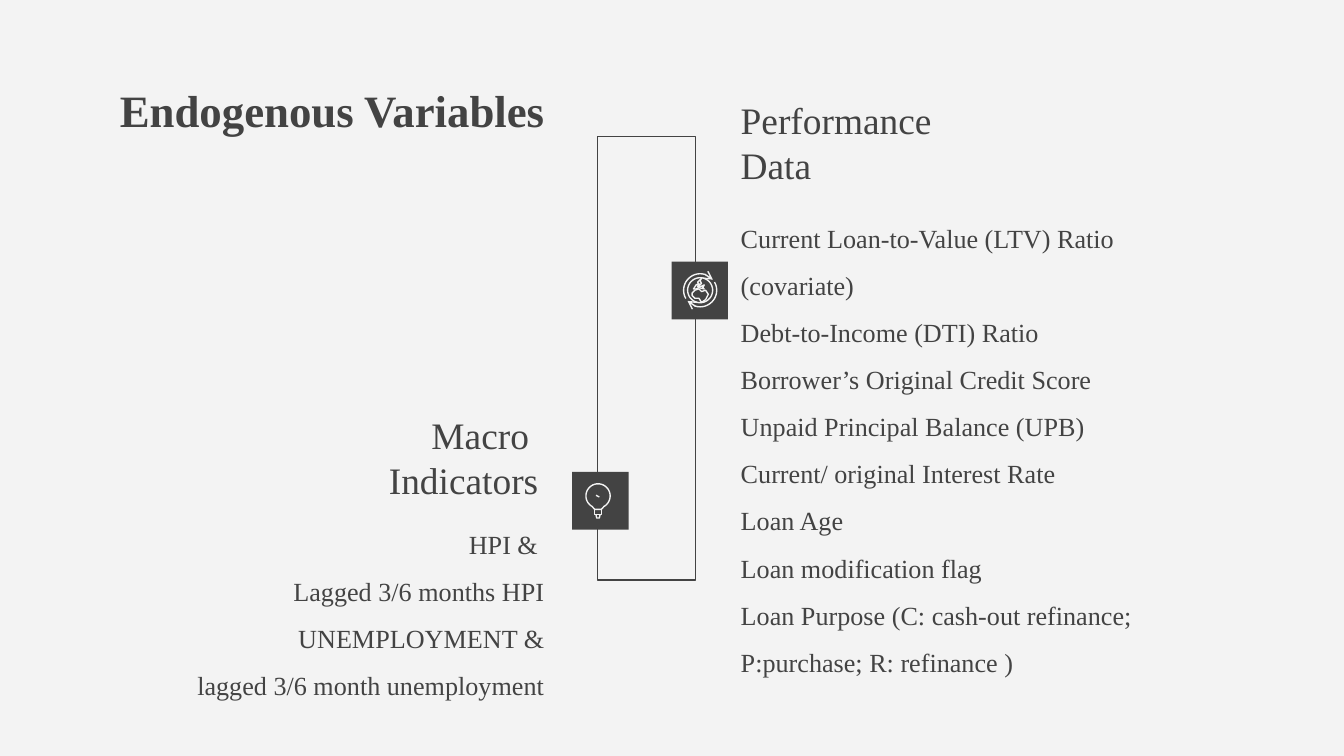
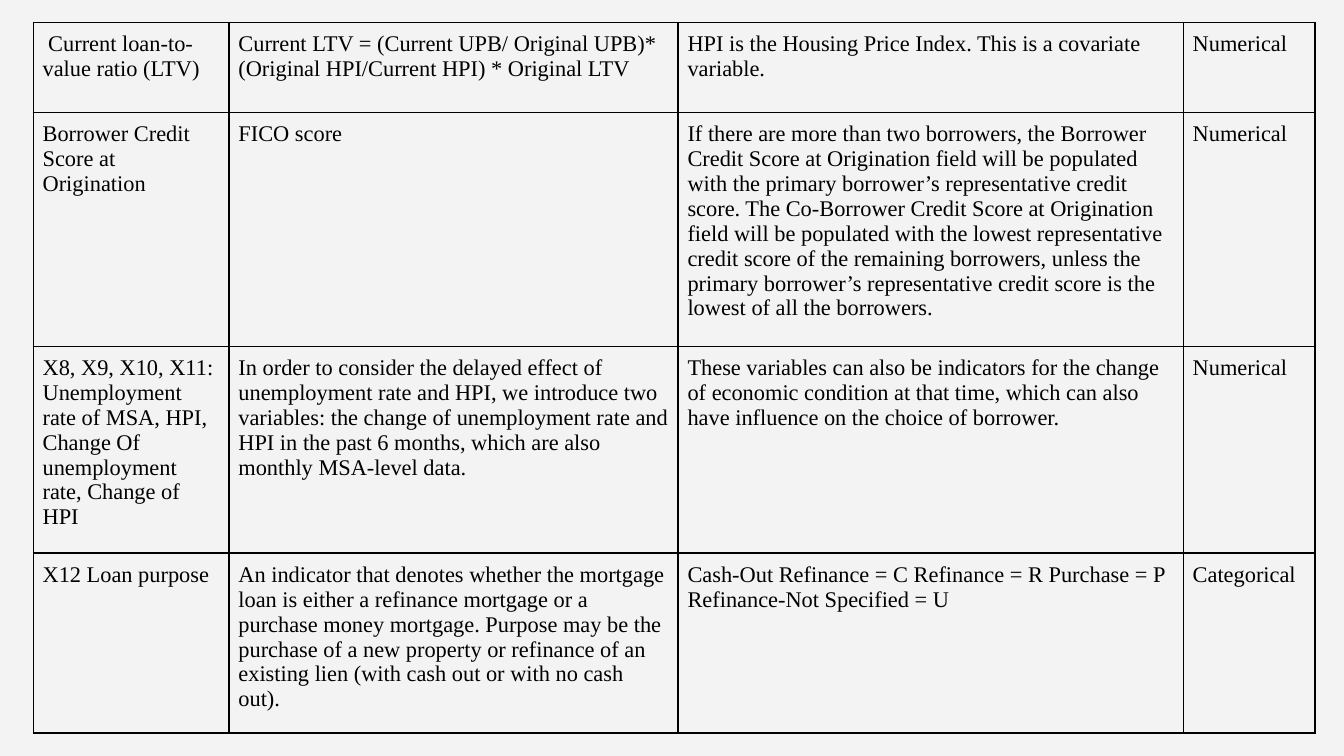
from dataclasses import dataclass
from math import cos, radians, sin

from lxml.etree import SubElement
from pptx import Presentation
from pptx.dml.color import RGBColor
from pptx.enum.shapes import MSO_SHAPE
from pptx.enum.text import MSO_ANCHOR, PP_ALIGN
from pptx.oxml.ns import qn
from pptx.shapes.autoshape import Shape
from pptx.slide import Slide
from pptx.util import Emu, Inches, Pt

FONT = "Times New Roman"
PAPER, INK, BLACK = "F3F3F3", "434343", "000000"
COLUMNS, ROWS = 100, 56.25  # grid of square cells covering the slide
CELL = Inches(0.1)

Point = tuple[float, float]


@dataclass(frozen=True)
class Box:
    col: float
    row: float
    cols: float
    rows: float

    def emu(self) -> tuple[Emu, Emu, Emu, Emu]:
        return grid(self.col), grid(self.row), grid(self.cols), grid(self.rows)


@dataclass(frozen=True)
class TextBlock:
    box: Box
    lines: tuple[str, ...]
    size: float
    bold: bool = False
    align: PP_ALIGN = PP_ALIGN.LEFT
    anchor: MSO_ANCHOR = MSO_ANCHOR.TOP
    spacing: float = 1.0


@dataclass(frozen=True)
class Stroke:
    points: tuple[Point, ...]
    closed: bool = False
    arrow: bool = False


def grid(cells: float) -> Emu:
    return Emu(round(cells * CELL))


def rgb(color: str) -> RGBColor:
    return RGBColor.from_string(color)


def arc(center: Point, radius: float, start: int, end: int) -> tuple[Point, ...]:
    """Points along a clockwise arc, with angles in degrees from the right."""
    return tuple(
        (center[0] + radius * cos(radians(a)), center[1] + radius * sin(radians(a)))
        for a in range(start, end + 1, 5)
    )


TITLE = TextBlock(Box(7.93, 5.14, 38.2, 10.3), ("Endogenous Variables",), 24, bold=True)
PERFORMANCE = TextBlock(
    Box(54.13, 5.7, 20.6, 9.2), ("Performance", "Data"), 20, anchor=MSO_ANCHOR.BOTTOM
)
PERFORMANCE_LIST = TextBlock(
    Box(54.13, 14.4, 33.9, 18.7),
    (
        "Current Loan-to-Value (LTV) Ratio (covariate)",
        "Debt-to-Income (DTI) Ratio",
        "Borrower’s Original Credit Score",
        "Unpaid Principal Balance (UPB)",
        "Current/ original Interest Rate",
        "Loan Age",
        "Loan modification flag",
        "Loan Purpose (C: cash-out refinance; P:purchase; R: refinance )",
    ),
    14,
    spacing=1.5,
)
MACRO = TextBlock(
    Box(20.45, 34.07, 20.6, 4.3), ("Macro ", "Indicators"), 20,
    align=PP_ALIGN.RIGHT, anchor=MSO_ANCHOR.BOTTOM,
)
MACRO_LIST = TextBlock(
    Box(9.8, 37.15, 31.7, 13.8),
    (
        "HPI & ",
        "Lagged 3/6 months HPI",
        "UNEMPLOYMENT &",
        " lagged 3/6 month unemployment",
    ),
    14,
    align=PP_ALIGN.RIGHT,
    spacing=1.5,
)

FRAME = Box(44.45, 10.17, 7.3, 33)
GLOBE_TILE = Box(49.97, 19.47, 4.2, 4.3)
BULB_TILE = Box(42.57, 35.12, 4.2, 4.3)

BULB = (
    Stroke(arc((44.5, 36.9), 0.9, 120, 420) + ((44.75, 37.9), (44.25, 37.9)), closed=True),
    Stroke(((44.25, 37.9), (44.25, 38.3), (44.75, 38.3), (44.75, 37.9))),
    Stroke(((44.35, 38.3), (44.4, 38.55), (44.6, 38.55), (44.65, 38.3))),
    Stroke(((44.35, 36.85), (44.6, 36.98))),
)
GLOBE_CENTER = (52.1, 21.6)
GLOBE = (
    Stroke(arc(GLOBE_CENTER, 0.93, 0, 355), closed=True),
    Stroke(arc(GLOBE_CENTER, 1.23, 150, 320), arrow=True),
    Stroke(arc(GLOBE_CENTER, 1.23, 330, 500), arrow=True),
    Stroke(
        (
            (52.2, 20.7), (51.9, 21), (52, 21.1), (51.8, 21.2), (51.6, 21.5),
            (51.8, 21.5), (52, 21.4), (52.4, 21.5), (52.3, 21.4), (52.4, 21.2),
            (52.2, 21.3), (51.9, 21.3), (52.2, 21.1), (52.1, 20.9),
        ),
        closed=True,
    ),
    Stroke(
        (
            (51.7, 21.6), (51.5, 21.8), (51.5, 22), (51.7, 22.2), (52, 22.2),
            (52.2, 22.5), (52.5, 22.3), (52.7, 21.9), (52.5, 21.6), (52.2, 21.7),
            (52, 21.5),
        ),
        closed=True,
    ),
)

TABLE_BOX = Box(2.48, 1.68, 95.36, 43.1)
TABLE_COLS = (14.57, 33.42, 37.59, 9.78)
TABLE_ROWS = (6.7, 12.8, 10.8, 12.8)
CELL_MARGIN = Pt(5)
VARIABLES = (
    (
        " Current loan-to-value ratio (LTV)",
        "Current LTV = (Current UPB/ Original UPB)* (Original HPI/Current HPI) * Original LTV",
        "HPI is the Housing Price Index. This is a covariate variable.",
        "Numerical",
    ),
    (
        "Borrower Credit Score at Origination",
        "FICO score",
        "If there are more than two borrowers, the Borrower Credit Score at Origination "
        "field will be populated with the primary borrower’s representative credit score. "
        "The Co-Borrower Credit Score at Origination field will be populated with the "
        "lowest representative credit score of the remaining borrowers, unless the primary "
        "borrower’s representative credit score is the lowest of all the borrowers.",
        "Numerical",
    ),
    (
        "X8, X9, X10, X11: Unemployment rate of MSA, HPI, Change Of unemployment rate, "
        "Change of HPI",
        "In order to consider the delayed effect of unemployment rate and HPI, we introduce "
        "two variables: the change of unemployment rate and HPI in the past 6 months, which "
        "are also monthly MSA-level data.",
        "These variables can also be indicators for the change of economic condition at that "
        "time, which can also have influence on the choice of borrower.",
        "Numerical",
    ),
    (
        "X12 Loan purpose",
        "An indicator that denotes whether the mortgage loan is either a refinance mortgage "
        "or a purchase money mortgage. Purpose may be the purchase of a new property or "
        "refinance of an existing lien (with cash out or with no cash out).",
        "Cash-Out Refinance = C Refinance = R Purchase = P Refinance-Not Specified = U",
        "Categorical",
    ),
)


def style_font(paragraph, size: float, color: str, bold: bool = False) -> None:
    font = paragraph.font
    font.name, font.size, font.bold = FONT, Pt(size), bold
    font.color.rgb = rgb(color)
    # The paragraph mark also sets the height of the last line.
    SubElement(paragraph._p, qn("a:endParaRPr"), sz=str(size * 100))


def add_text(slide: Slide, block: TextBlock) -> None:
    frame = slide.shapes.add_textbox(*block.box.emu()).text_frame
    frame.word_wrap = True
    frame.vertical_anchor = block.anchor
    frame.margin_left = frame.margin_right = Inches(0.1)
    frame.margin_top = frame.margin_bottom = Inches(0.1)
    frame.text = "\n".join(block.lines)
    for paragraph in frame.paragraphs:
        paragraph.alignment = block.align
        paragraph.line_spacing = block.spacing
        style_font(paragraph, block.size, INK, block.bold)


def outline(shape: Shape, color: str) -> None:
    shape.shadow.inherit = False
    shape.fill.background()
    shape.line.color.rgb = rgb(color)
    shape.line.width = Pt(0.75)


def add_tile(slide: Slide, box: Box) -> None:
    tile = slide.shapes.add_shape(MSO_SHAPE.RECTANGLE, *box.emu())
    tile.shadow.inherit = False
    tile.fill.solid()
    tile.fill.fore_color.rgb = rgb(INK)
    tile.line.fill.background()


def add_stroke(slide: Slide, stroke: Stroke) -> None:
    start, *rest = [(grid(x), grid(y)) for x, y in stroke.points]
    builder = slide.shapes.build_freeform(*start)
    builder.add_line_segments(rest, close=stroke.closed)
    shape = builder.convert_to_shape()
    outline(shape, PAPER)
    if stroke.arrow:
        line = shape.line._get_or_add_ln()
        SubElement(line, qn("a:tailEnd"), type="arrow", w="sm", len="sm")


def add_borders(cell) -> None:
    properties = cell._tc.get_or_add_tcPr()
    for side in "LRTB":
        line = SubElement(properties, qn(f"a:ln{side}"), w=str(Pt(1)))
        fill = SubElement(line, qn("a:solidFill"))
        SubElement(fill, qn("a:srgbClr"), val=BLACK)


def add_variable_table(slide: Slide) -> None:
    table = slide.shapes.add_table(
        len(TABLE_ROWS), len(TABLE_COLS), *TABLE_BOX.emu()
    ).table
    table.first_row = table.horz_banding = False
    for column, width in zip(table.columns, TABLE_COLS):
        column.width = grid(width)
    for row, height, texts in zip(table.rows, TABLE_ROWS, VARIABLES):
        row.height = grid(height)
        for cell, text in zip(row.cells, texts):
            cell.text = text
            cell.margin_left = cell.margin_right = CELL_MARGIN
            cell.margin_top = cell.margin_bottom = CELL_MARGIN
            style_font(cell.text_frame.paragraphs[0], 12, BLACK)
            add_borders(cell)
            cell.fill.background()


def add_slide(deck) -> Slide:
    slide = deck.slides.add_slide(deck.slide_layouts[6])
    slide.background.fill.solid()
    slide.background.fill.fore_color.rgb = rgb(PAPER)
    return slide


def build_endogenous_variables(slide: Slide) -> None:
    for block in (TITLE, PERFORMANCE_LIST, PERFORMANCE, MACRO, MACRO_LIST):
        add_text(slide, block)
    outline(slide.shapes.add_shape(MSO_SHAPE.RECTANGLE, *FRAME.emu()), INK)
    for tile, icon in ((GLOBE_TILE, GLOBE), (BULB_TILE, BULB)):
        add_tile(slide, tile)
        for stroke in icon:
            add_stroke(slide, stroke)


def main() -> None:
    deck = Presentation()
    deck.slide_width, deck.slide_height = grid(COLUMNS), grid(ROWS)
    build_endogenous_variables(add_slide(deck))
    add_variable_table(add_slide(deck))
    deck.save("out.pptx")


if __name__ == "__main__":
    main()
